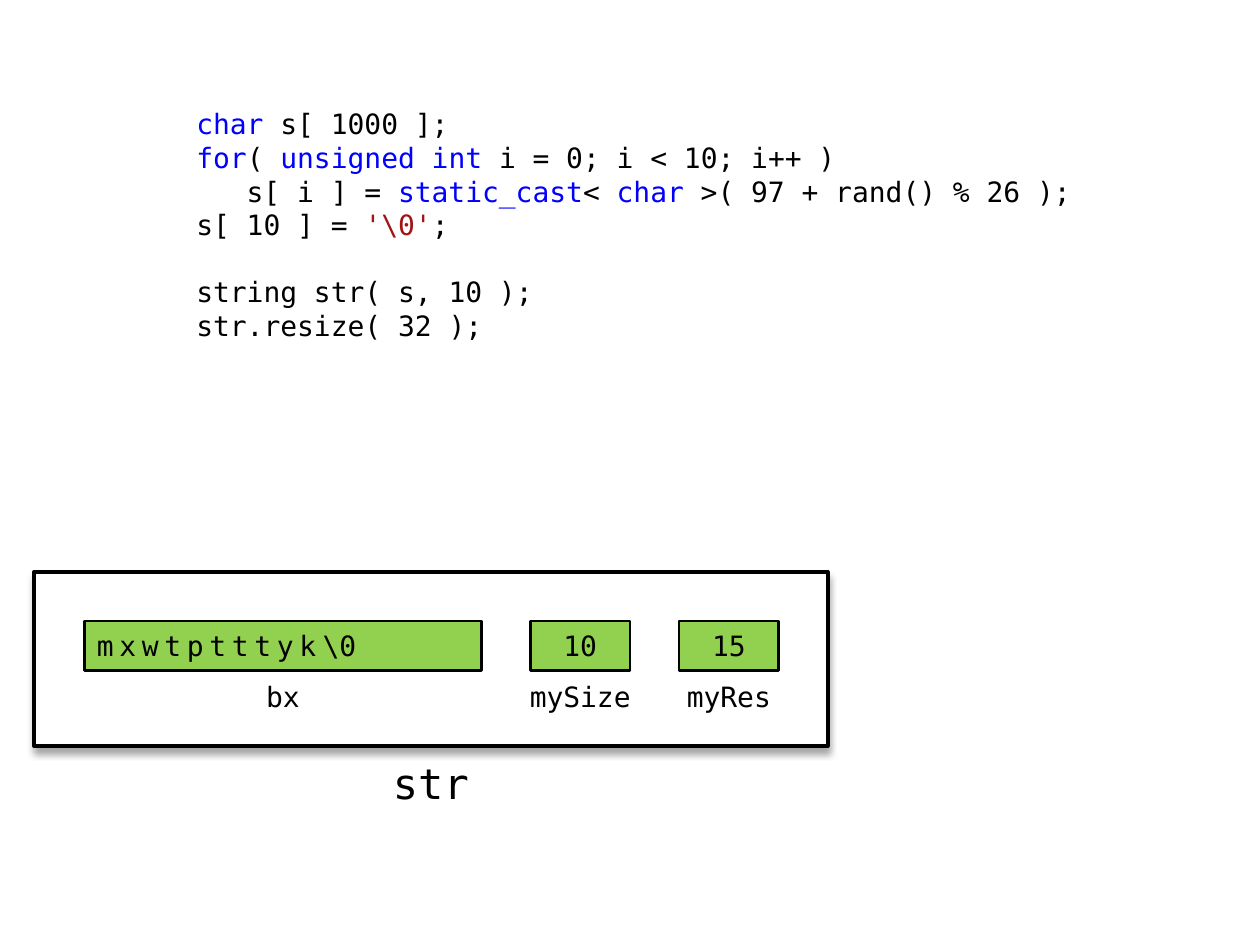
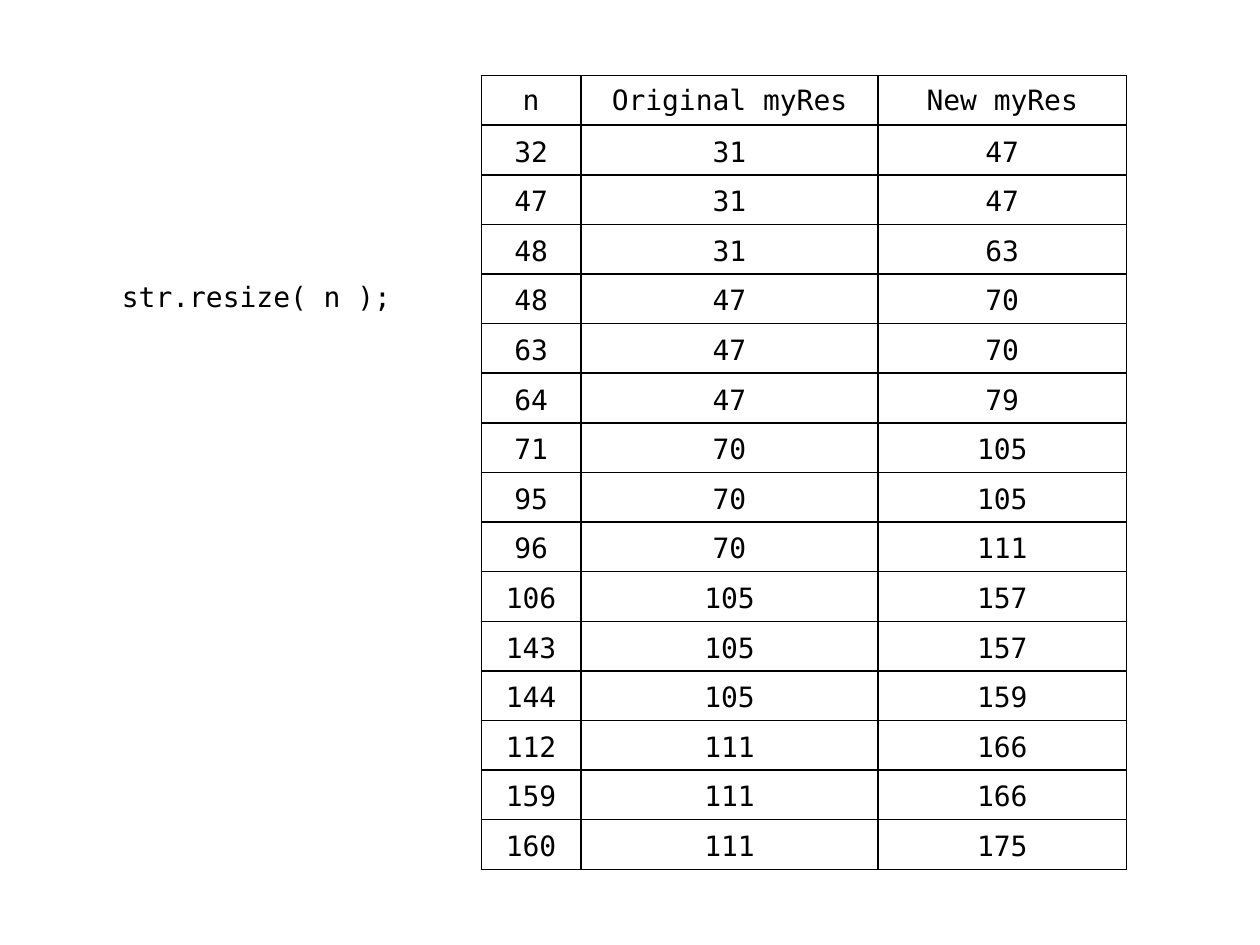
from dataclasses import dataclass

from lxml import etree
from pptx import Presentation
from pptx.dml.color import RGBColor as Rgb
from pptx.enum.shapes import MSO_SHAPE as Kind
from pptx.enum.text import MSO_ANCHOR as Anchor, PP_ALIGN as Align
from pptx.oxml import parse_xml
from pptx.oxml.ns import nsdecls, qn
from pptx.util import Inches, Pt


@dataclass(frozen=True)
class Theme:
    font: str = "DejaVu Sans Mono"
    size: float = 16
    big: float = 24
    lead: float = 19.2
    ink: str = "000000"
    paper: str = "FFFFFF"
    key: str = "0000FF"
    quote: str = "A31515"
    field: str = "92D050"


T = Theme()


class Deck:
    def __init__(self, theme):
        self.theme = theme
        self.prs = Presentation()
        self.prs.slide_width, self.prs.slide_height = Inches(10), Inches(7.5)
        self.slide = None

    def page(self):
        self.slide = self.prs.slides.add_slide(self.prs.slide_layouts[6])

    def style(self, para, align=Align.CENTER, size=None):
        para.alignment = align
        para.font.name = self.theme.font
        para.font.size = Pt(size or self.theme.size)
        para.font.color.rgb = Rgb.from_string(self.theme.ink)

    def add_runs(self, para, runs):
        """Add runs given as (text, colour or None, letter spacing)."""
        for text, color, gap in runs:
            run = para.add_run()
            run.text = text
            if color:
                run.font.color.rgb = Rgb.from_string(color)
            if gap:
                run._r.get_or_add_rPr().set("spc", str(int(gap * 100)))

    def text(self, x, y, w, h):
        box = self.slide.shapes.add_textbox(*map(Inches, (x, y, w, h)))
        box.text_frame.word_wrap = True
        return box.text_frame

    def caption(self, text, x, y, w, h):
        frame = self.text(x, y, w, h)
        frame.vertical_anchor = Anchor.MIDDLE
        para = frame.paragraphs[0]
        self.style(para, size=self.theme.big)
        para.text = text

    def code(self, lines, x, y, w, h):
        """Set lines given as (indent, lines skipped before, runs)."""
        frame = self.text(x, y, w, h)
        for i, (indent, skip, runs) in enumerate(lines):
            para = frame.add_paragraph() if i else frame.paragraphs[0]
            self.style(para, Align.LEFT)
            para.line_spacing = Pt(self.theme.lead)
            para.space_before = Pt(self.theme.lead * skip)
            if indent:
                para._p.get_or_add_pPr().set("marL", str(Inches(indent)))
            self.add_runs(para, [(*run, None) for run in runs])

    def box(self, x, y, w, h, kind=Kind.RECTANGLE, fill=None, line=None):
        shape = self.slide.shapes.add_shape(kind, *map(Inches, (x, y, w, h)))
        shape.shadow.inherit = False
        if fill:
            shape.fill.solid()
            shape.fill.fore_color.rgb = Rgb.from_string(fill)
        else:
            shape.fill.background()
        if line:
            shape.line.color.rgb = Rgb.from_string(self.theme.ink)
            shape.line.width = Pt(line)
        else:
            shape.line.fill.background()
        return shape

    def label(self, shape, runs, align=Align.CENTER):
        shape.text_frame.word_wrap = True
        shape.text_frame.vertical_anchor = Anchor.MIDDLE
        para = shape.text_frame.paragraphs[0]
        self.style(para, align)
        self.add_runs(para, runs)

    def frame(self, x, y, w, h):
        shape = self.box(x, y, w, h, Kind.FLOWCHART_PROCESS, self.theme.paper, 2.25)
        effect = shape.element.spPr.find(qn("a:effectLst"))
        effect.append(parse_xml(
            f'<a:outerShdw {nsdecls("a")} blurRad="{Pt(4)}" dist="{Pt(3)}" '
            f'dir="5400000" rotWithShape="0"><a:srgbClr val="{self.theme.ink}">'
            '<a:alpha val="35000"/></a:srgbClr></a:outerShdw>'))

    def field(self, name, runs, x, y, w, tag_w, align=Align.CENTER):
        """Draw a value box with its name centred below."""
        high = 0.39
        self.label(self.box(x, y, w, high, fill=self.theme.field, line=1.5), runs, align)
        tag = self.box(x + (w - tag_w) / 2, y + 0.4, tag_w, high, Kind.FLOWCHART_PROCESS)
        self.label(tag, [(name, None, None)])

    def edge(self, cell):
        props = cell._tc.get_or_add_tcPr()
        for i, side in enumerate("LRTB"):
            line = etree.Element(qn(f"a:ln{side}"), w=str(Pt(1)))
            paint = etree.SubElement(line, qn("a:solidFill"))
            etree.SubElement(paint, qn("a:srgbClr"), val=self.theme.ink)
            props.insert(i, line)

    def table(self, rows, x, y, cols, h):
        area = map(Inches, (x, y, sum(cols), h))
        grid = self.slide.shapes.add_table(len(rows), len(cols), *area).table
        grid.first_row = grid.horz_banding = False
        for col, width in zip(grid.columns, cols):
            col.width = Inches(width)
        for r, row in enumerate(rows):
            for c, value in enumerate(row):
                cell = grid.cell(r, c)
                cell.fill.background()
                self.edge(cell)
                cell.vertical_anchor = Anchor.BOTTOM if r else Anchor.MIDDLE
                para = cell.text_frame.paragraphs[0]
                self.style(para)
                para.text = str(value)


CODE = [
    (0, 0, [("char ", T.key), ("s[ 1000 ];", None)]),
    (0, 0, [("for", T.key), ("( ", None), ("unsigned int ", T.key),
            ("i = 0; i < 10; i++ )", None)]),
    (0.4, 0, [("s[ i ] = ", None), ("static_cast", T.key), ("< ", None),
              ("char", T.key), (" >( 97 + rand() % 26 );", None)]),
    (0, 0, [("s[ 10 ] = ", None), ("'\\0'", T.quote), (";", None)]),
    (0, 1, [("string str( s, 10 );", None)]),
    (0, 0, [("str.resize( 32 );", None)]),
]

SIZES = [
    ("n", "Original myRes", "New myRes"),
    (32, 31, 47), (47, 31, 47), (48, 31, 63),
    (48, 47, 70), (63, 47, 70), (64, 47, 79),
    (71, 70, 105), (95, 70, 105), (96, 70, 111),
    (106, 105, 157), (143, 105, 157), (144, 105, 159),
    (112, 111, 166), (159, 111, 166), (160, 111, 175),
]


def main():
    deck = Deck(T)

    # Slide 1: code and the string object in memory
    deck.page()
    deck.code(CODE, 1.46, 0.8, 7.28, 1.97)
    deck.caption("str", 2.83, 5.92, 1.18, 0.59)
    deck.frame(0.27, 4.54, 6.3, 1.38)
    chars = [("mxwtptttyk", None, 3.3), ("\\", None, -1.5), ("0", None, None)]
    deck.field("bx", chars, 0.67, 4.93, 3.15, 0.79, Align.LEFT)
    for name, value, x in (("mySize", "10", 4.21), ("myRes", "15", 5.39)):
        deck.field(name, [(value, None, None)], x, 4.93, 0.79, 1.18)

    # Slide 2: growth of the reserve after a resize
    deck.page()
    deck.table(SIZES, 3.82, 0.6, (0.79, 2.36, 1.97), 6.3)
    deck.code([(0, 0, [("str.resize( n );", None)])], 0.87, 2.17, 2.36, 0.39)

    deck.prs.save("out.pptx")


if __name__ == "__main__":
    main()
